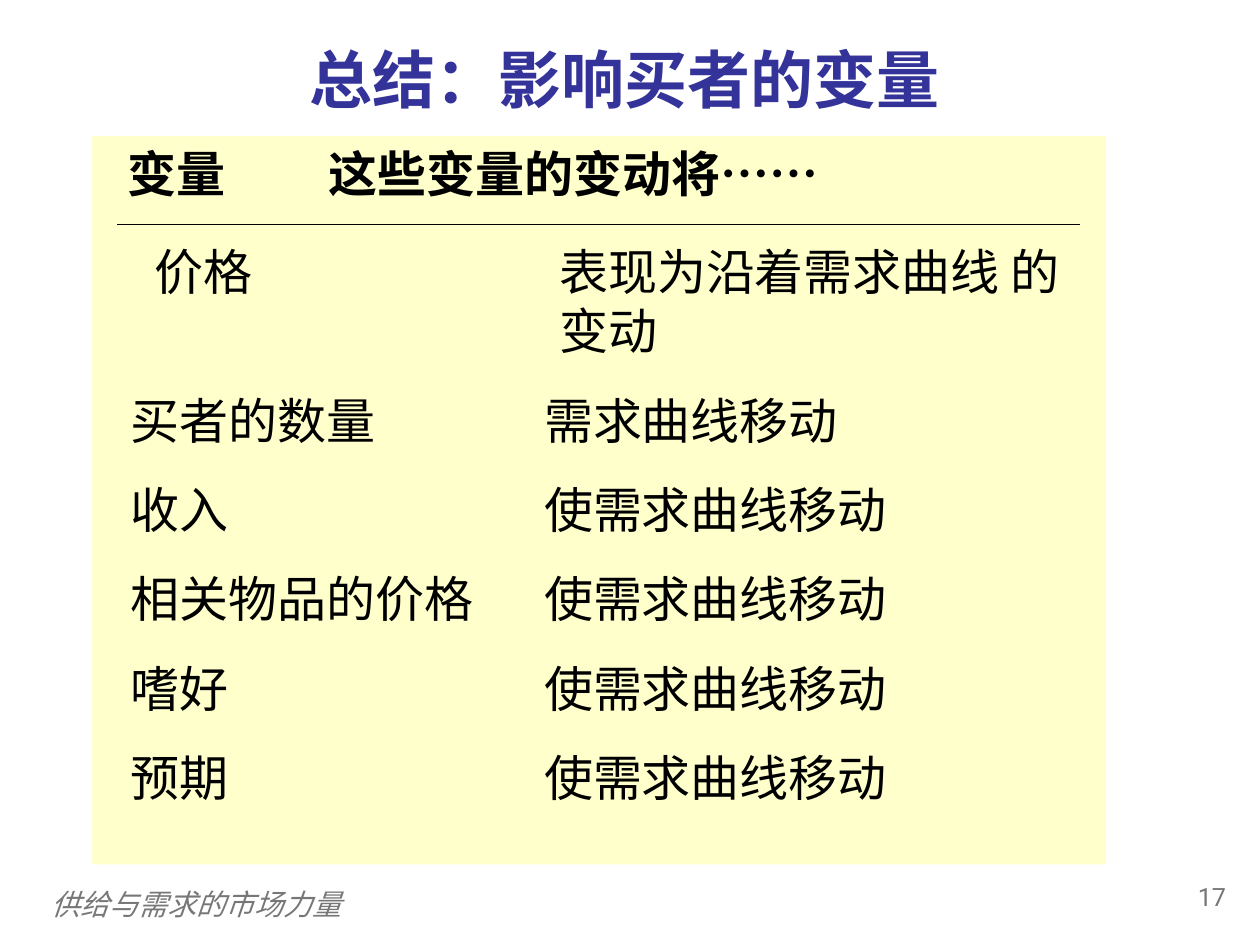
"""Build the slide that sums up the variables affecting buyers."""
from lxml import etree
from pptx import Presentation
from pptx.dml.color import RGBColor
from pptx.enum.shapes import MSO_CONNECTOR, MSO_SHAPE
from pptx.enum.text import MSO_ANCHOR, MSO_AUTO_SIZE, PP_ALIGN
from pptx.oxml.ns import qn
from pptx.util import Inches, Pt


def color(value):
    return RGBColor.from_string(value)


def write(shape, box, rows, font, anchor=MSO_ANCHOR.TOP, align=PP_ALIGN.LEFT, spacing=1.0, gap=0):
    shape.left, shape.top, shape.width, shape.height = [Inches(n) for n in box]
    frame = shape.text_frame
    frame.word_wrap = True
    frame.auto_size = MSO_AUTO_SIZE.NONE
    frame.vertical_anchor = anchor
    for index, (text, start, hang) in enumerate(rows):
        paragraph = frame.add_paragraph() if index else frame.paragraphs[0]
        paragraph.text = text
        paragraph.alignment = align
        paragraph.line_spacing = spacing
        paragraph.space_before = Pt(gap if index else 0)
        properties = paragraph._p.get_or_add_pPr()
        properties.set("marL", str(Inches(hang)))
        properties.set("indent", str(Inches(start) - Inches(hang)))
        etree.SubElement(properties, qn("a:buNone"))
        for name, value in font.items():
            if name == "color":
                paragraph.font.color.rgb = color(value)
            else:
                setattr(paragraph.font, name, value)


presentation = Presentation()
presentation.slide_width, presentation.slide_height = Inches(10), Inches(7.5)
slide = presentation.slides.add_slide(presentation.slide_layouts[1])
shapes = slide.shapes
title, header = shapes.title, slide.placeholders[1]

panel = shapes.add_shape(MSO_SHAPE.RECTANGLE, Inches(0.73), Inches(1.08), Inches(8.05), Inches(5.78))
panel.shadow.inherit = False
panel.fill.solid()
panel.fill.fore_color.rgb = color("FFFFCC")
panel.line.fill.background()
shapes._spTree.insert(2, panel._element)

write(title, (0.2, 0.28, 9.52, 0.69), [("总结：影响买者的变量", 0, 0)],
      {"size": Pt(36), "name": "Cambria", "color": "333399", "bold": True},
      MSO_ANCHOR.MIDDLE, PP_ALIGN.CENTER)

body_font = {"size": Pt(28), "name": "Arial", "color": "000000"}
write(header, (0.72, 1.12, 8.45, 0.59), [("变量\t这些变量的变动将……", 0.19, 1.79)],
      {**body_font, "bold": True}, spacing=0.95)

effects = [("买者的数量", "需求曲线移动")]
effects += [(name, "使需求曲线移动") for name in ("收入", "相关物品的价格", "嗜好", "预期")]
rows = [("价格\t表现为沿着需求曲线 的变动", 0.19, 3.4)]
rows += [(f"{variable}\t{effect}", 0, 3.28) for variable, effect in effects]
write(shapes.add_textbox(0, 0, 0, 0), (0.94, 1.87, 7.81, 5.12), rows, body_font, gap=17.5)

rule = shapes.add_connector(MSO_CONNECTOR.STRAIGHT, Inches(0.93), Inches(1.78), Inches(8.57), Inches(1.78))
rule.line.color.rgb = color("000000")
rule.line.width = Pt(0.75)
etree.SubElement(rule._element.spPr, qn("a:effectLst"))

write(shapes.add_textbox(0, 0, 0, 0), (0.31, 6.99, 8.02, 0.4), [("供给与需求的市场力量", 0, 0)],
      {"size": Pt(16.6), "name": "Arial", "color": "777777", "italic": True},
      MSO_ANCHOR.MIDDLE, spacing=0.9)
write(shapes.add_textbox(0, 0, 0, 0), (9.08, 6.97, 0.75, 0.4), [("17", 0, 0)],
      {"size": Pt(14.4), "name": "Roboto", "color": "777777"},
      align=PP_ALIGN.RIGHT, spacing=0.9)

presentation.save("out.pptx")
